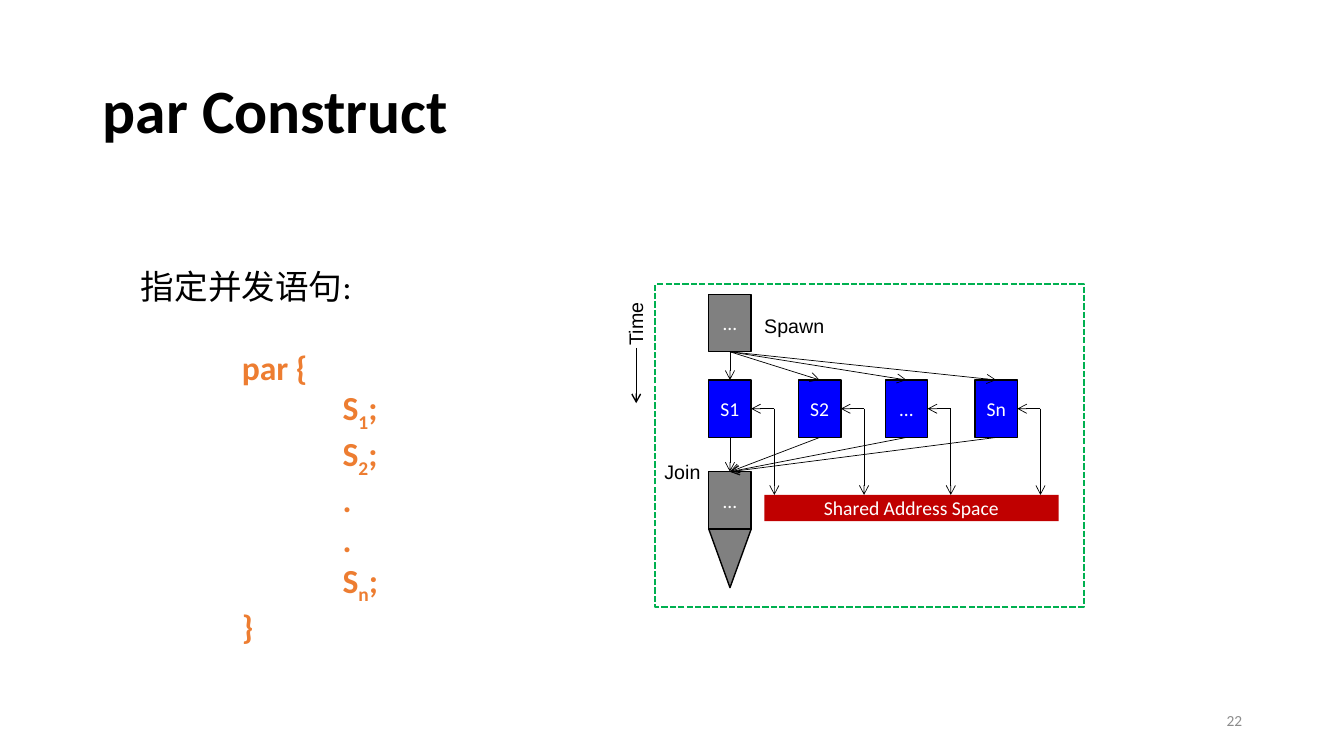
import pptx
import pptx.util
import pptx.dml.color
import pptx.enum.dml
import pptx.enum.shapes
import pptx.enum.text
import pptx.oxml.ns
from lxml import etree

Inches, Pt = pptx.util.Inches, pptx.util.Pt
RGBColor = pptx.dml.color.RGBColor
SHAPE = pptx.enum.shapes.MSO_SHAPE
ALIGN = pptx.enum.text.PP_ALIGN
ANCHOR = pptx.enum.text.MSO_ANCHOR
qn = pptx.oxml.ns.qn

BLACK = RGBColor(0, 0, 0)
WHITE = RGBColor(255, 255, 255)
GRAY = RGBColor(128, 128, 128)
BLUE = RGBColor(0, 0, 255)
RED = RGBColor(192, 0, 0)
GREEN = RGBColor(0, 176, 80)
ORANGE = RGBColor(237, 125, 49)
PAGE_GRAY = RGBColor(140, 140, 140)

TITLE = "par Construct"
HEADING = "指定并发语句:"
CODE = [
    (1, ["par {"]),
    (2, ["S", "1", ";"]),
    (2, ["S", "2", ";"]),
    (2, ["."]),
    (2, ["."]),
    (2, ["S", "n", ";"]),
    (1, ["}"]),
]
STATEMENTS = [("S1", 7.03), ("S2", 7.92), ("…", 8.78), ("Sn", 9.67)]
LABELS = [
    ("Time", 6.09, 3.09, 0.43, 270),
    ("Spawn", 7.58, 3.11, 0.6, 0),
    ("Join", 6.59, 4.56, 0.36, 0),
]
PAGE_NUMBER = "22"

BOX_WIDTH, BOX_HEIGHT = 0.42, 0.57
MAIN_LEFT = STATEMENTS[0][1]
MAIN_CENTER = MAIN_LEFT + BOX_WIDTH / 2
SPAWN_TOP, STATEMENT_TOP, JOIN_TOP = 2.92, 3.77, 4.68
MEMORY_TOP = 4.91
MEMORY_OFFSET = 0.65


def style(font, size, color, name="Calibri", bold=False):
    font.size, font.name, font.bold = Pt(size), name, bold
    font.color.rgb = color


def add_box(slide, kind, left, top, width, height, fill=None, line=BLACK,
            line_width=1, text="", margin=0):
    shape = slide.shapes.add_shape(kind, Inches(left), Inches(top), Inches(width), Inches(height))
    shape.shadow.inherit = False
    if fill is None:
        shape.fill.background()
    else:
        shape.fill.solid()
        shape.fill.fore_color.rgb = fill
    if line is None:
        shape.line.fill.background()
    else:
        shape.line.color.rgb = line
        shape.line.width = Pt(line_width)
    if text:
        frame = shape.text_frame
        frame.margin_left = frame.margin_right = Inches(margin)
        frame.vertical_anchor = ANCHOR.MIDDLE
        frame.text = text
        frame.paragraphs[0].alignment = ALIGN.CENTER
        style(frame.paragraphs[0].runs[0].font, 14, WHITE)
    return shape


def add_arrow(slide, start, end, width=0.5):
    points = [Inches(value) for value in (*start, *end)]
    arrow = slide.shapes.add_connector(pptx.enum.shapes.MSO_CONNECTOR.STRAIGHT, *points)
    arrow.line.color.rgb = BLACK
    arrow.line.width = Pt(width)
    etree.SubElement(arrow.line._get_or_add_ln(), qn("a:tailEnd")).set("type", "arrow")
    etree.SubElement(arrow._element.spPr, qn("a:effectLst"))


def add_text(slide, left, top, width, height):
    return slide.shapes.add_textbox(Inches(left), Inches(top), Inches(width), Inches(height))


def add_title(slide):
    title = slide.shapes.title
    title.left, title.top = Inches(0.92), Inches(0.4)
    title.width, title.height = Inches(11.5), Inches(1.45)
    frame = title.text_frame
    frame.text = TITLE
    frame.vertical_anchor = ANCHOR.MIDDLE
    paragraph = frame.paragraphs[0]
    paragraph.alignment = ALIGN.LEFT
    paragraph.line_spacing = 0.9
    style(paragraph.runs[0].font, 44, BLACK, bold=True)


def add_code(slide):
    frame = add_text(slide, 1.3, 2.59, 4.57, 3.74).text_frame
    frame.word_wrap = True
    frame.text = HEADING
    style(frame.paragraphs[0].runs[0].font, 24, BLACK)
    for index, (level, parts) in enumerate(CODE):
        paragraph = frame.add_paragraph()
        paragraph._p.get_or_add_pPr().set("marL", str(Inches(level)))
        if index == 0:
            paragraph.space_before = Pt(29)
        for position, part in enumerate(parts):
            run = paragraph.add_run()
            run.text = part
            style(run.font, 24, ORANGE, bold=True)
            if position == 1:
                run._r.get_or_add_rPr().set("baseline", "-25000")


def add_diagram(slide):
    for top in (SPAWN_TOP, JOIN_TOP):
        add_box(slide, SHAPE.RECTANGLE, MAIN_LEFT, top, BOX_WIDTH, BOX_HEIGHT, GRAY, text="…")
    tip = add_box(slide, SHAPE.ISOSCELES_TRIANGLE, MAIN_LEFT, JOIN_TOP + BOX_HEIGHT,
                  BOX_WIDTH, 0.58, GRAY)
    tip.rotation = 180
    add_box(slide, SHAPE.RECTANGLE, 7.58, MEMORY_TOP, 2.92, 0.26, RED, None,
            text="Shared Address Space", margin=0.1)
    for text, left in STATEMENTS:
        add_box(slide, SHAPE.RECTANGLE, left, STATEMENT_TOP, BOX_WIDTH, BOX_HEIGHT, BLUE, text=text)
        center = left + BOX_WIDTH / 2
        middle = STATEMENT_TOP + BOX_HEIGHT / 2
        corner = (left + MEMORY_OFFSET, middle)
        add_arrow(slide, (MAIN_CENTER, SPAWN_TOP + BOX_HEIGHT), (center, STATEMENT_TOP))
        add_arrow(slide, (center, STATEMENT_TOP + BOX_HEIGHT), (MAIN_CENTER, JOIN_TOP))
        add_arrow(slide, corner, (left + BOX_WIDTH, middle))
        add_arrow(slide, corner, (corner[0], MEMORY_TOP))
    add_arrow(slide, (6.31, 3.45), (6.31, 4), 1)
    for text, left, top, width, rotation in LABELS:
        label = add_text(slide, left, top, width, 0.24)
        label.rotation = rotation
        frame = label.text_frame
        frame.margin_left = frame.margin_right = frame.margin_top = frame.margin_bottom = 0
        frame.word_wrap = False
        frame.text = text
        style(frame.paragraphs[0].runs[0].font, 14, BLACK, "Arial")
    border = add_box(slide, SHAPE.RECTANGLE, 6.5, 2.82, 4.25, 3.2, line=GREEN, line_width=1.5)
    border.line.dash_style = pptx.enum.dml.MSO_LINE.SQUARE_DOT


def add_page_number(slide):
    frame = add_text(slide, 9.42, 6.95, 3, 0.4).text_frame
    frame.word_wrap = True
    frame.vertical_anchor = ANCHOR.MIDDLE
    frame.text = PAGE_NUMBER
    frame.paragraphs[0].alignment = ALIGN.RIGHT
    style(frame.paragraphs[0].runs[0].font, 11, PAGE_GRAY)


def main():
    presentation = pptx.Presentation()
    presentation.slide_width, presentation.slide_height = Inches(13.33), Inches(7.5)
    slide = presentation.slides.add_slide(presentation.slide_layouts[5])
    add_title(slide)
    add_code(slide)
    add_diagram(slide)
    add_page_number(slide)
    presentation.save("out.pptx")


if __name__ == "__main__":
    main()
